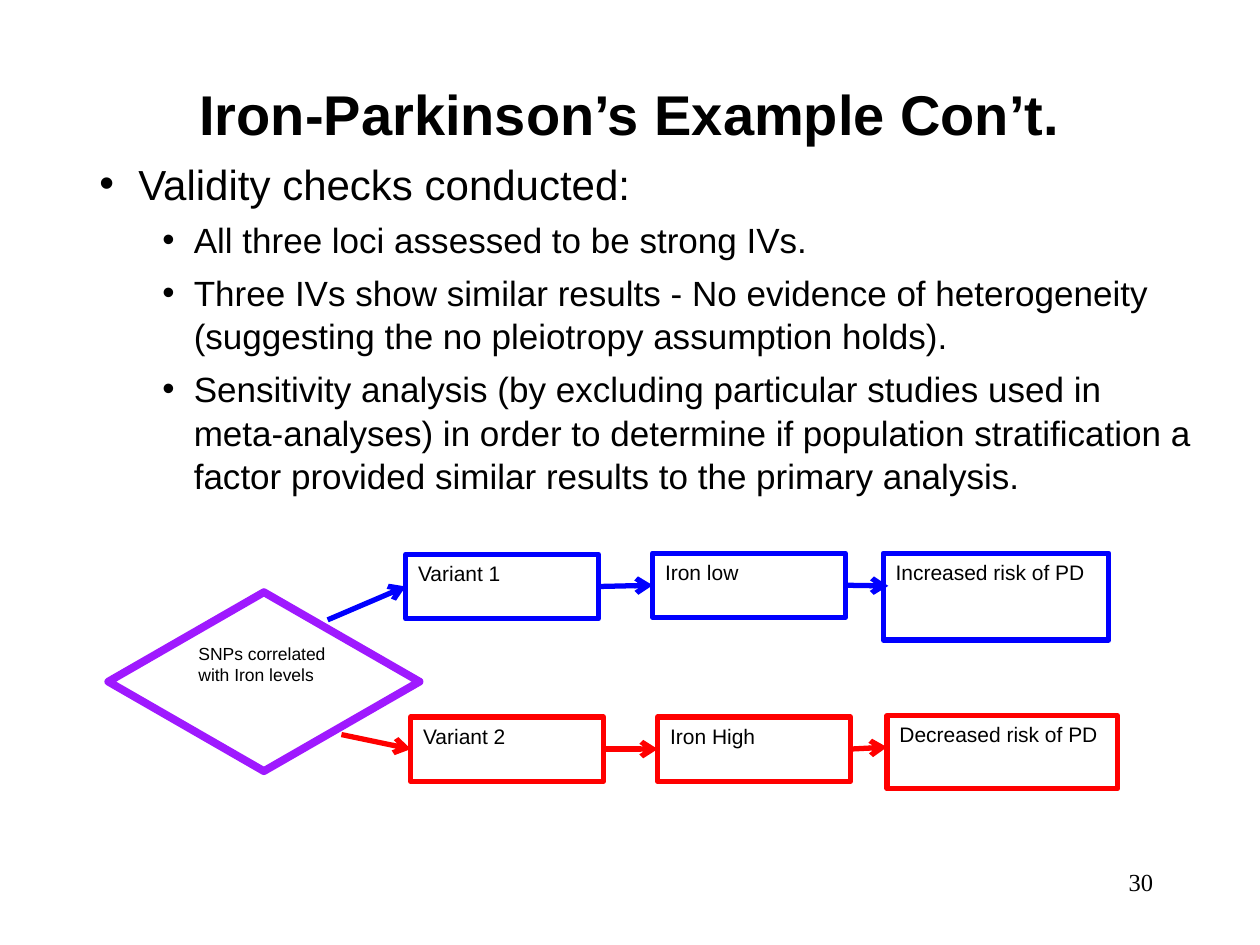
import pptx
import pptx.util
import pptx.dml.color
import pptx.enum.shapes
import pptx.enum.text
import pptx.oxml.ns
import lxml.etree
from dataclasses import dataclass

PX = 9144  # EMU per px, 100 px to the inch
LEFT, RIGHT = 1, 3  # connection sites of a rectangle
ALIGN = pptx.enum.text.PP_ALIGN
SHAPE = pptx.enum.shapes.MSO_SHAPE


@dataclass(frozen=True)
class Theme:
    text: str = "000000"
    low: str = "0000FF"
    high: str = "FF0000"
    source: str = "9F19FF"
    font: str = "Arial"
    number_font: str = "Times New Roman"
    title: int = 32
    body: int = 24
    sub: int = 20
    box: int = 12
    diamond: int = 10
    number: int = 14


THEME = Theme()


def px(n):
    return pptx.util.Emu(n * PX)


def rgb(color):
    return pptx.dml.color.RGBColor.from_string(color)


def add_xml(parent, tag, **attrs):
    return lxml.etree.SubElement(parent, pptx.oxml.ns.qn(tag), attrs)


def style(p, size, font=THEME.font, bold=False):
    for r in p.runs:
        r.font.size = pptx.util.Pt(size)
        r.font.name = font
        r.font.bold = bold
        r.font.color.rgb = rgb(THEME.text)


def add_text(s, box, text, size, align, **kw):
    tf = s.shapes.add_textbox(*map(px, box)).text_frame
    tf.word_wrap = True
    tf.text = text
    p = tf.paragraphs[0]
    p.alignment = align
    style(p, size, **kw)
    return tf


def add_title(s, box, text):
    tf = add_text(s, box, text, THEME.title, ALIGN.CENTER, bold=True)
    tf.vertical_anchor = pptx.enum.text.MSO_ANCHOR.MIDDLE


def add_bullets(s, box, items):
    # level: (size, space before in points, left margin, hanging indent)
    levels = {1: (THEME.body, 6, 81, 31), 2: (THEME.sub, 5, 125, 25)}
    tf = s.shapes.add_textbox(*map(px, box)).text_frame
    tf.word_wrap = True
    for i, (level, text) in enumerate(items):
        p = tf.add_paragraph() if i else tf.paragraphs[0]
        size, before, margin, hang = levels[level]
        p.text = text
        p.level = level
        p.space_before = pptx.util.Pt(before)
        p.line_spacing = 1.04
        style(p, size)
        pPr = p._p.get_or_add_pPr()
        pPr.set("marL", str(px(margin)))
        pPr.set("indent", str(px(-hang)))
        add_xml(pPr, "a:buFont", typeface=THEME.font)
        add_xml(pPr, "a:buChar", char="•")


def add_node(s, kind, box, text, color, size=THEME.box, width=3):
    sp = s.shapes.add_shape(kind, *map(px, box))
    sp.shadow.inherit = False
    sp.fill.background()
    sp.line.color.rgb = rgb(color)
    sp.line.width = pptx.util.Pt(width)
    tf = sp.text_frame
    tf.word_wrap = True
    tf.vertical_anchor = pptx.enum.text.MSO_ANCHOR.TOP
    tf.text = text
    tf.paragraphs[0].alignment = ALIGN.LEFT
    style(tf.paragraphs[0], size)
    return sp


def add_arrow(s, color, start, end):
    """Each end is an (x, y) point in px or a (shape, site) pair."""
    points = [(0, 0) if hasattr(e[0], "shape_id") else e for e in (start, end)]
    line = s.shapes.add_connector(pptx.enum.shapes.MSO_CONNECTOR.STRAIGHT,
                                  *map(px, points[0] + points[1]))
    for e, connect in ((start, line.begin_connect), (end, line.end_connect)):
        if hasattr(e[0], "shape_id"):
            connect(*e)
    line.line.color.rgb = rgb(color)
    line.line.width = pptx.util.Pt(3)
    add_xml(line.line._get_or_add_ln(), "a:tailEnd", type="arrow")
    add_xml(line._element.spPr, "a:effectLst")


def add_pathway(s, box, color, names, shifts, risk, start, last):
    """Variant, iron level and risk in a row; offsets are from the box corner."""
    x, y = box[:2]
    nodes = [add_node(s, SHAPE.RECTANGLE, (x + i * 196, y + dy, 153, 51), name, color)
             for i, (name, dy) in enumerate(zip(names, shifts))]
    dx, dy, w, h = risk[:4]
    add_node(s, SHAPE.RECTANGLE, (x + dx, y + dy, w, h), risk[4], color)

    # Arrows into the variant, on to the iron level, on to the risk
    variant, iron = nodes
    add_arrow(s, color, (x + start[0], y + start[1]), (variant, LEFT))
    add_arrow(s, color, (variant, RIGHT), (iron, LEFT))
    add_arrow(s, color, (iron, RIGHT), (x + last[0], y + last[1]))


def add_diagram(s, box):
    x, y = box[:2]
    add_node(s, SHAPE.DIAMOND, (x, y + 31, 247, 142),
             "SNPs correlated with Iron levels", THEME.source, THEME.diamond, 4.5)
    add_pathway(s, (x + 236, y), THEME.low, ("Variant 1", "Iron low"), (1, 0),
                (379, 0, 179, 69, "Increased risk of PD"), (-62, 53), (383, 26))
    add_pathway(s, (x + 240, y + 129), THEME.high, ("Variant 2", "Iron High"), (1, 1),
                (378, 0, 183, 58, "Decreased risk of PD"), (-55, 15), (378, 25))


def main():
    prs = pptx.Presentation()
    prs.slide_width, prs.slide_height = px(1000), px(750)
    s = prs.slides.add_slide(prs.slide_layouts[6])

    add_title(s, (75, 21, 850, 138), "Iron-Parkinson’s Example Con’t.")
    add_bullets(s, (19, 119, 943, 509), [
        (1, "Validity checks conducted:"),
        (2, "All three loci assessed to be strong IVs."),
        (2, "Three IVs show similar results - No evidence of heterogeneity "
            "(suggesting the no pleiotropy assumption holds)."),
        (2, "Sensitivity analysis (by excluding particular studies used in "
            "meta-analyses) in order to determine if population stratification "
            "a factor provided similar results to the primary analysis."),
    ])
    add_diagram(s, (86, 439, 801, 187))
    add_text(s, (717, 683, 208, 50), "30", THEME.number, ALIGN.RIGHT,
             font=THEME.number_font)
    prs.save("out.pptx")


if __name__ == "__main__":
    main()
